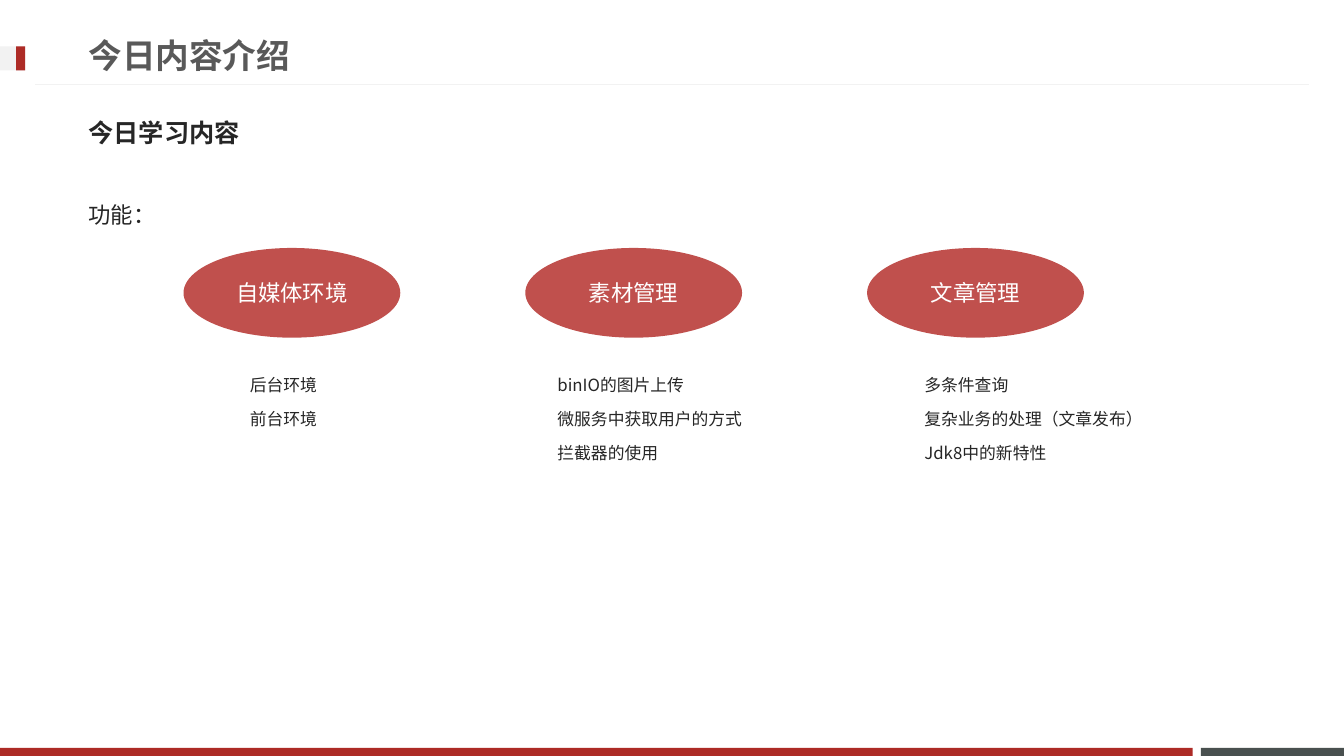
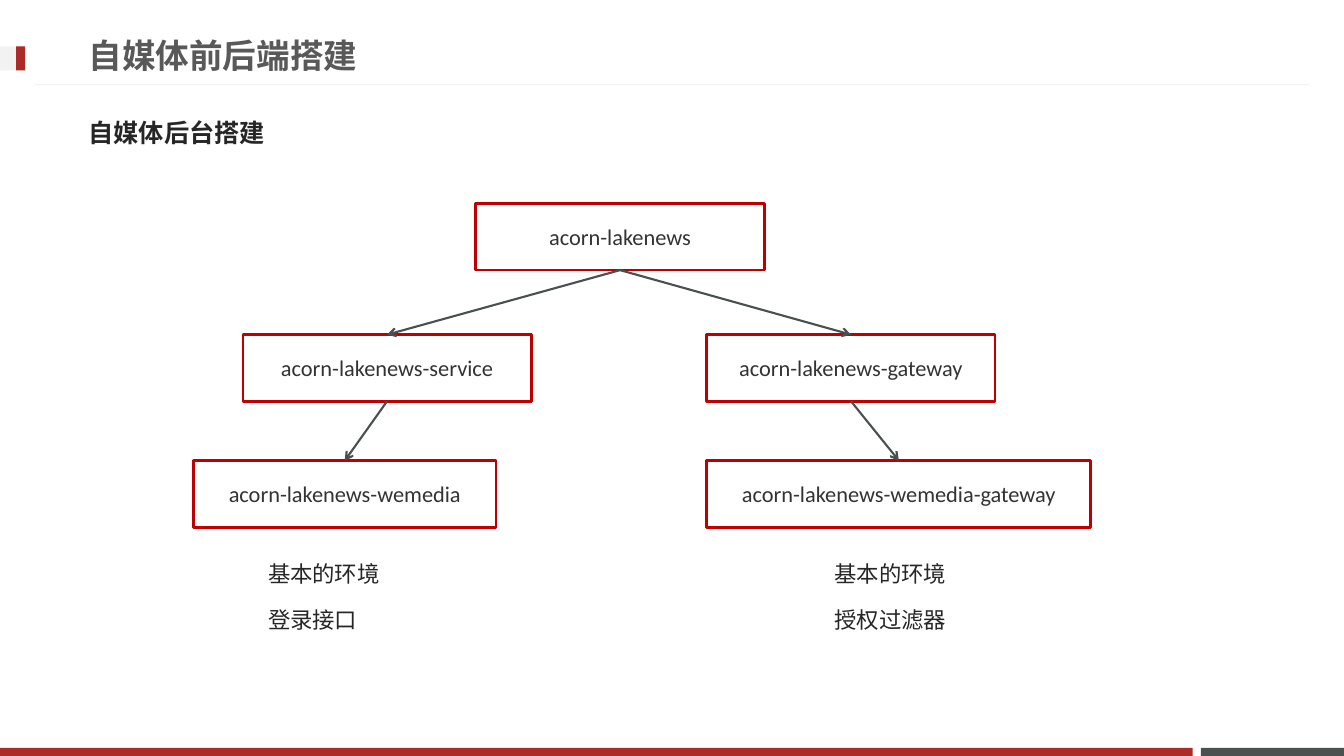
from lxml import etree
from pptx import Presentation
from pptx.dml.color import RGBColor
from pptx.enum.shapes import MSO_CONNECTOR, MSO_SHAPE
from pptx.enum.text import MSO_ANCHOR, PP_ALIGN
from pptx.oxml.ns import qn
from pptx.util import Inches, Pt

RECT, OVAL = MSO_SHAPE.RECTANGLE, MSO_SHAPE.OVAL
LINE = MSO_CONNECTOR.STRAIGHT
TOP, MID = MSO_ANCHOR.TOP, MSO_ANCHOR.MIDDLE
LEFT, MIDDLE = PP_ALIGN.LEFT, PP_ALIGN.CENTER

COLORS = {
    "red": "AD2B26", "slate": "49504F", "pale": "F2F2F2",
    "title": "595959", "ink": "262626", "label": "333333",
    "oval": "C0504D", "frame": "C00000", "white": "FFFFFF",
}
CJK = "Noto Sans CJK JP"
STYLES = {
    "title": {"name": "Arial", "size": Pt(24), "bold": True},
    "head": {"name": CJK, "size": Pt(18), "bold": True},
    "body": {"name": CJK, "size": Pt(16), "bold": False},
    "small": {"name": CJK, "size": Pt(12), "bold": False},
    "label": {"name": "Calibri", "size": Pt(16), "bold": False},
}
BOTTOM_SITE, TOP_SITE = 2, 0


def color(name):
    return RGBColor.from_string(COLORS[name])


class Deck:
    """Holds the shared style and the current slide."""

    def __init__(self):
        self.prs = Presentation()
        self.prs.slide_width = Inches(13.33)
        self.prs.slide_height = Inches(7.5)
        self.slide = None

    def page(self, title, head):
        """Start a slide with its bands, title and heading."""
        self.slide = self.prs.slides.add_slide(self.prs.slide_layouts[6])
        # Footer bands
        self.shape(RECT, 11.91, 7.42, 1.42, 0.08, "slate")
        self.shape(RECT, 0, 7.42, 11.83, 0.08, "red")
        # Title rule and marker
        rule = self.line("pale", 0.75)
        rule.begin_x, rule.end_x = Inches(0.35), Inches(12.98)
        rule.begin_y = rule.end_y = Inches(0.84)
        self.shape(RECT, 0, 0.46, 0.25, 0.24, "pale")
        self.shape(RECT, 0.16, 0.46, 0.09, 0.24, "red")
        # Title and heading
        self.text(0.78, 0.26, 9.59, 0.57, [title], "title", "title", MID)
        self.text(0.78, 1.03, 11.7, 0.57, [head], "head", "ink", MID)

    def label(self, frame, lines, style, ink, anchor, align, loose=False):
        frame.word_wrap = True
        frame.vertical_anchor = anchor
        for i, line in enumerate(lines):
            para = frame.add_paragraph() if i else frame.paragraphs[0]
            para.alignment = align
            run = para.add_run()
            run.text = line
            for key, value in STYLES[style].items():
                setattr(run.font, key, value)
            run.font.color.rgb = color(ink)
            east = etree.SubElement(run.font._element, qn("a:ea"))
            east.set("typeface", CJK)
            if loose:
                size = STYLES[style]["size"].pt
                para.line_spacing = Pt(1.83 * size)
                para.space_before = Pt(0.2 * size)

    def text(self, x, y, w, h, lines, style, ink="ink", anchor=TOP):
        box = self.slide.shapes.add_textbox(
            Inches(x), Inches(y), Inches(w), Inches(h))
        self.label(box.text_frame, lines, style, ink, anchor, LEFT,
                   anchor == TOP)

    def shape(self, kind, x, y, w, h, fill=None):
        item = self.slide.shapes.add_shape(
            kind, Inches(x), Inches(y), Inches(w), Inches(h))
        item.shadow.inherit = False
        item.line.fill.background()
        if fill:
            item.fill.solid()
            item.fill.fore_color.rgb = color(fill)
        else:
            item.fill.background()
        return item

    def oval(self, x, y, name):
        item = self.shape(OVAL, x, y, 2.15, 0.89, "oval")
        self.label(item.text_frame, [name], "label", "white", MID, MIDDLE)

    def node(self, x, y, w, name):
        item = self.shape(RECT, x, y, w, 0.66)
        item.line.color.rgb = color("frame")
        item.line.width = Pt(2)
        self.label(item.text_frame, [name], "label", "label", MID, MIDDLE)
        return item

    def line(self, ink, width):
        item = self.slide.shapes.add_connector(LINE, 0, 0, 0, 0)
        item.line.color.rgb = color(ink)
        item.line.width = Pt(width)
        etree.SubElement(item._element.spPr, qn("a:effectLst"))
        return item

    def arrow(self, start, end):
        item = self.line("slate", 1.5)
        item.begin_connect(start, BOTTOM_SITE)
        item.end_connect(end, TOP_SITE)
        stroke = item._element.spPr.find(qn("a:ln"))
        etree.SubElement(stroke, qn("a:tailEnd")).set("type", "arrow")


def main():
    deck = Deck()

    # Slide 1: topics of the day
    deck.page("今日内容介绍", "今日学习内容")
    deck.text(0.78, 1.81, 9.46, 0.65, ["功能："], "body")
    topics = [
        ("自媒体环境", 2.38, 1.24, ["后台环境", "前台环境"]),
        ("素材管理", 5.43, 2.15,
         ["binIO的图片上传", "微服务中获取用户的方式", "拦截器的使用"]),
        ("文章管理", 9.07, 2.6,
         ["多条件查询", "复杂业务的处理（文章发布）", "Jdk8中的新特性"]),
    ]
    for i, (topic, x, w, lines) in enumerate(topics):
        deck.oval(1.82 + 3.39 * i, 2.46, topic)
        deck.text(x, 3.56, w, 0.5 + 0.33 * len(lines), lines, "small")

    # Slide 2: module tree
    deck.page("自媒体前后端搭建", "自媒体后台搭建")
    for x, last in ((2.56, "登录接口"), (8.18, "授权过滤器")):
        deck.text(x, 5.37, 1.92, 1, ["基本的环境", last], "body")
    root = deck.node(4.72, 2.02, 2.86, "acorn-lakenews")
    branches = [
        (2.41, "service", 1.92, 3, "wemedia"),
        (7.01, "gateway", 7.01, 3.81, "wemedia-gateway"),
    ]
    for x, name, leaf_x, leaf_w, leaf_name in branches:
        branch = deck.node(x, 3.32, 2.86, f"acorn-lakenews-{name}")
        leaf = deck.node(leaf_x, 4.57, leaf_w, f"acorn-lakenews-{leaf_name}")
        deck.arrow(root, branch)
        deck.arrow(branch, leaf)

    deck.prs.save("out.pptx")


if __name__ == "__main__":
    main()
